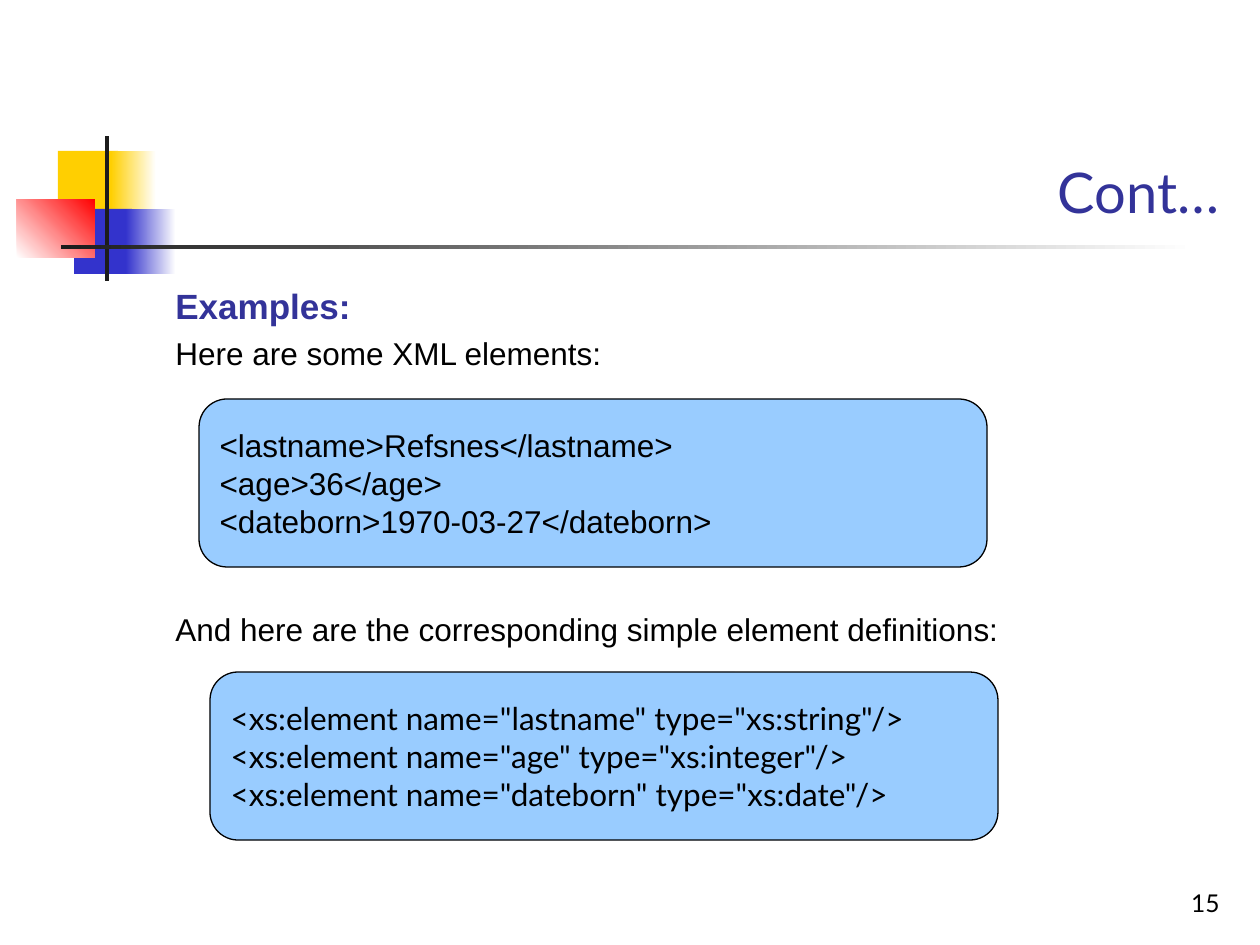
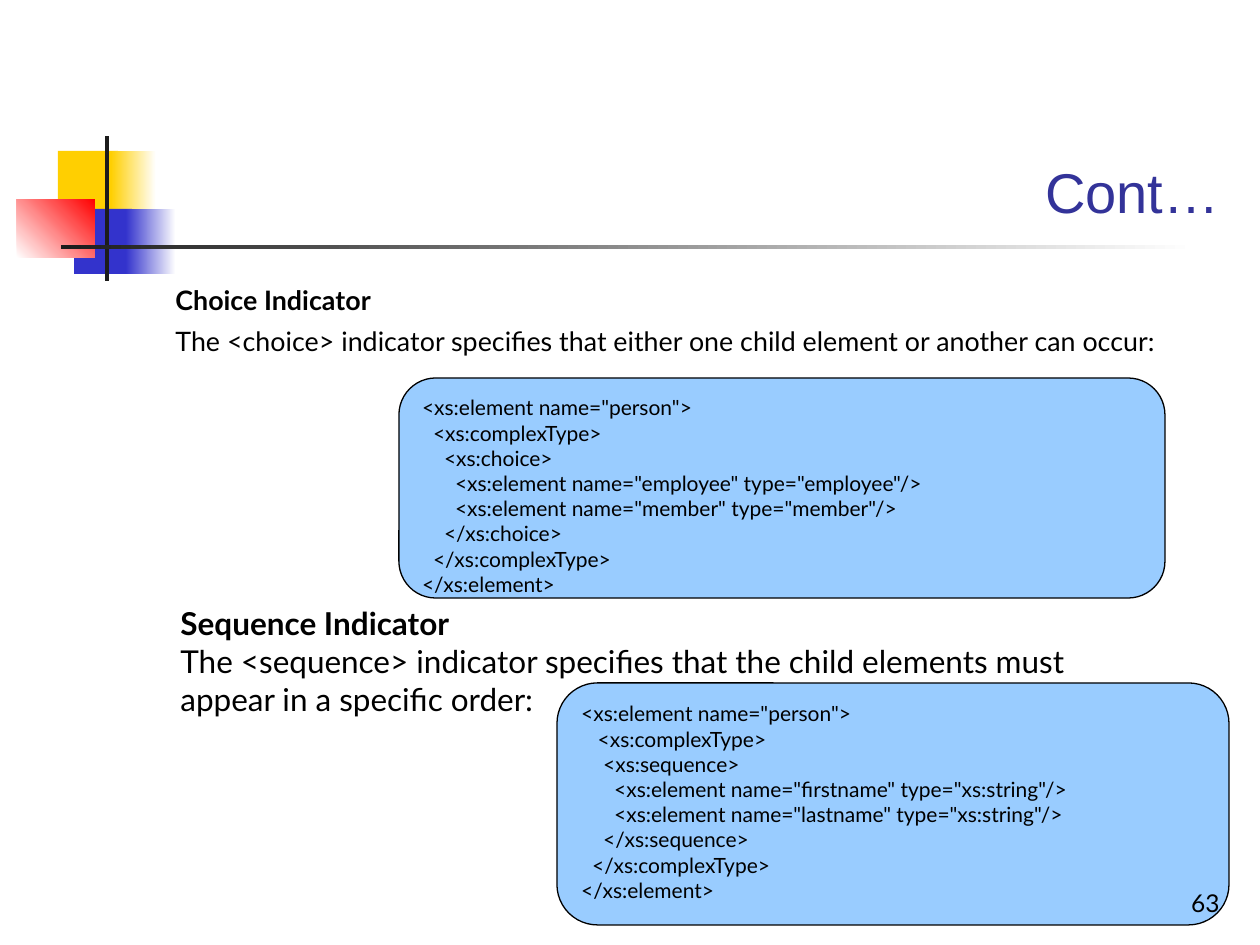
import pptx
import pptx.util
import pptx.dml.color
import pptx.enum.shapes
import pptx.enum.text

PX = 914400 / 126
STEP = 11
COLORS = {
    "white": "FFFFFF", "black": "000000", "dark": "1C1C1C", "title": "333399",
    "yellow": "FFCF01", "blue": "3333CC", "red": "FF0000", "code": "99CCFF",
}
SHAPE = pptx.enum.shapes.MSO_SHAPE
ANCHOR = pptx.enum.text.MSO_ANCHOR
ALIGN = pptx.enum.text.PP_ALIGN

# Fill is one colour, or start colour, end colour and angle
DECOR = [
    ((58, 151, 60, 65), ("yellow",)),
    ((111, 151, 45, 65), ("yellow", "white", 0)),
    ((74, 209, 58, 65), ("blue",)),
    ((126, 209, 50, 65), ("blue", "white", 0)),
    ((17, 199, 78, 59), ("white", "red", 45)),
    ((105, 136, 4, 145), ("dark",)),
    ((61, 245, 1134, 4), ("dark", "white", 0)),
]
VALUES = [(0, "<lastname>Refsnes</lastname>"), (0, "<age>36</age>"),
          (0, "<dateborn>1970-03-27</dateborn>")]
TYPES = [(0, '<xs:element name="lastname" type="xs:string"/>'),
         (0, '<xs:element name="age" type="xs:integer"/>'),
         (0, '<xs:element name="dateborn" type="xs:date"/>')]
CHOICE = [
    (0, '<xs:element name="person">'),
    (1, "<xs:complexType>"),
    (2, "<xs:choice>"),
    (3, '<xs:element name="employee" type="employee"/>'),
    (3, '<xs:element name="member" type="member"/>'),
    (2, "</xs:choice>"),
    (1, "</xs:complexType>"),
    (0, "</xs:element>"),
]
SEQUENCE = [
    (0, '<xs:element name="person">'),
    (1.5, "<xs:complexType>"),
    (2, "<xs:sequence>"),
    (3, '<xs:element name="firstname" type="xs:string"/>'),
    (3, '<xs:element name="lastname" type="xs:string"/>'),
    (2, "</xs:sequence>"),
    (1, "</xs:complexType>"),
    (0, "</xs:element>"),
]


def emu(px):
    return round(px * PX)


def rgb(name):
    return pptx.dml.color.RGBColor.from_string(COLORS[name])


def add_shape(slide, kind, box, paint):
    shape = slide.shapes.add_shape(kind, *map(emu, box))
    shape.shadow.inherit = False
    shape.line.fill.background()
    if len(paint) == 1:
        shape.fill.solid()
        shape.fill.fore_color.rgb = rgb(paint[0])
    else:
        start, end, angle = paint
        shape.fill.gradient()
        shape.fill.gradient_angle = angle
        for stop, name in zip(shape.fill.gradient_stops, (start, end)):
            stop.color.rgb = rgb(name)
    return shape


def write(frame, lines, size, font, color="black", align=ALIGN.LEFT):
    """Fill the frame with one paragraph per line and one style for all."""
    frame.word_wrap = True
    frame.text = "\n".join(lines)
    for para in frame.paragraphs:
        para.alignment = align
        for run in para.runs:
            run.font.size = pptx.util.Pt(size)
            run.font.name = font
            run.font.color.rgb = rgb(color)


def add_text(slide, box, lines, size, font, color="black", align=ALIGN.LEFT,
             anchor=ANCHOR.TOP):
    frame = slide.shapes.add_textbox(*map(emu, box)).text_frame
    write(frame, lines, size, font, color, align)
    frame.vertical_anchor = anchor
    return frame.paragraphs


def add_code(slide, box, rows, size, font, anchor):
    """Rounded panel of code; each row is its depth and its text."""
    panel = add_shape(slide, SHAPE.ROUNDED_RECTANGLE, box, ("code",))
    panel.adjustments[0] = 0.167
    panel.line.color.rgb = rgb("black")
    panel.line.width = pptx.util.Pt(0.75)
    frame = panel.text_frame
    frame.vertical_anchor = anchor
    write(frame, [text for _, text in rows], size, font)
    for para, (depth, _) in zip(frame.paragraphs, rows):
        para._p.get_or_add_pPr().set("marL", str(emu(depth * STEP)))


def add_frame(deck, font):
    """New slide with the ornament and the title."""
    slide = deck.slides.add_slide(deck.slide_layouts[6])
    for box, paint in DECOR:
        add_shape(slide, SHAPE.RECTANGLE, box, paint)
    add_text(slide, (159, 29, 1073, 202), ["Cont…"], 32, font, "title",
             ALIGN.RIGHT, ANCHOR.BOTTOM)
    return slide


def add_number(slide, number):
    add_text(slide, (970, 861, 262, 63), [number], 14, "Lato",
             align=ALIGN.RIGHT, anchor=ANCHOR.BOTTOM)


def simple_slide(deck):
    slide = add_frame(deck, "Lato")
    paras = add_text(slide, (163, 278, 1071, 567), [
        "Examples:", "Here are some XML elements:",
        "And here are the corresponding simple element definitions:",
    ], 18, "Arial")
    for para, gap in zip(paras, (5, 4.5, 136)):
        para.space_before = pptx.util.Pt(gap)
    head = paras[0].runs[0].font
    head.size = pptx.util.Pt(20)
    head.bold = True
    head.color.rgb = rgb("title")
    add_code(slide, (199, 399, 788, 168), VALUES, 18, "Arial", ANCHOR.MIDDLE)
    add_code(slide, (210, 672, 788, 168), TYPES, 18, "Lato", ANCHOR.MIDDLE)
    add_number(slide, "15")


def order_slide(deck):
    slide = add_frame(deck, "Arial")
    choice = add_text(slide, (163, 278, 1071, 121), [
        "Choice Indicator",
        "The <choice> indicator specifies that either one child element "
        "or another can occur:",
    ], 15.3, "Lato")
    for para in choice:
        para.space_before = pptx.util.Pt(4.5)
    add_code(slide, (399, 378, 766, 220), CHOICE, 12, "Lato", ANCHOR.TOP)
    order = add_text(slide, (168, 598, 976, 126), [
        "Sequence Indicator",
        "The <sequence> indicator specifies that the child elements must "
        "appear in a specific order:",
    ], 18, "Lato")
    for paras in (choice, order):
        paras[0].runs[0].font.bold = True
    add_code(slide, (557, 683, 672, 242), SEQUENCE, 12, "Lato", ANCHOR.TOP)
    add_number(slide, "63")


def main():
    deck = pptx.Presentation()
    deck.slide_width = emu(1260)
    deck.slide_height = emu(945)
    simple_slide(deck)
    order_slide(deck)
    deck.save("out.pptx")


if __name__ == "__main__":
    main()
